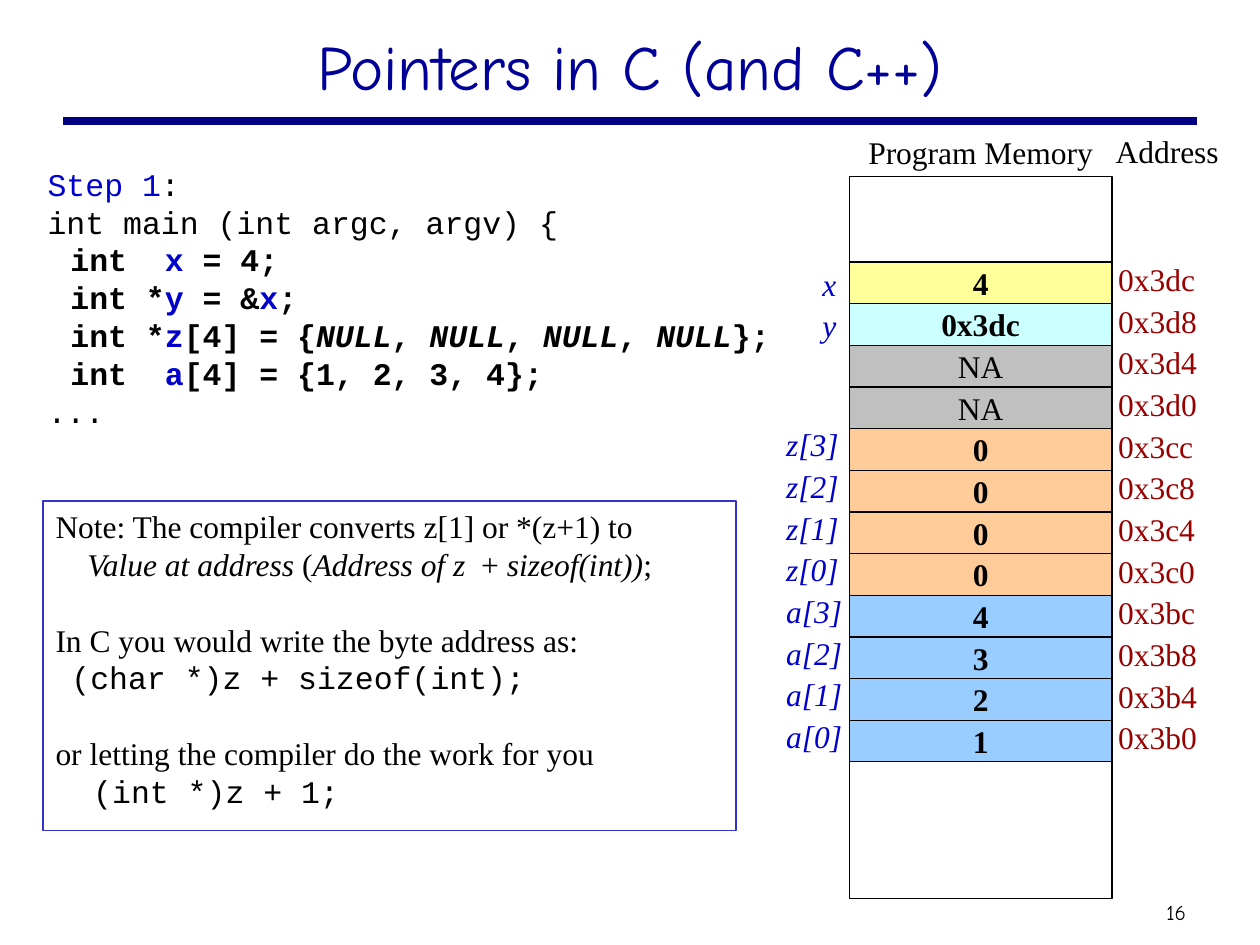
import pptx
import pptx.util
import pptx.dml.color
import pptx.enum.text
import pptx.enum.shapes
import pptx.oxml
import pptx.oxml.ns

Cm = pptx.util.Cm
Pt = pptx.util.Pt
ALIGN = pptx.enum.text.PP_ALIGN
MIDDLE = pptx.enum.text.MSO_ANCHOR.MIDDLE
SERIF, MONO, COMIC = "Times New Roman", "Courier New", "Comic Neue"
BLACK, BLUE, RED = "000000", "0000CC", "990000"
TOP, STEP = 5.28, 0.84


def color(code):
    """Turn a hex string into a colour."""
    return pptx.dml.color.RGBColor.from_string(code)


class Deck:
    """Hold the style and the current slide."""

    def __init__(self):
        """Start a deck with one titled slide."""
        self.deck = pptx.Presentation()
        self.deck.slide_width, self.deck.slide_height = Cm(25.4), Cm(19.05)
        self.slide = self.deck.slides.add_slide(self.deck.slide_layouts[5])
        self.size = 18

    def style(self, run, font=SERIF, ink=BLACK, bold=False, slant=False, size=None):
        """Format one run."""
        run.font.name, run.font.size = font, Pt(size or self.size)
        run.font.bold, run.font.italic = bold, slant
        run.font.color.rgb = color(ink)

    def title(self, text, box):
        """Fill and place the title."""
        shape = self.slide.shapes.title
        shape.left, shape.top, shape.width, shape.height = map(Cm, box)
        frame = shape.text_frame
        frame.text, frame.vertical_anchor = text, MIDDLE
        frame.paragraphs[0].alignment = ALIGN.CENTER
        self.style(frame.paragraphs[0].runs[0], COMIC, "000099", size=36)

    def rule(self, start, end, ink, width):
        """Draw a straight line."""
        kind = pptx.enum.shapes.MSO_CONNECTOR.STRAIGHT
        line = self.slide.shapes.add_connector(kind, *map(Cm, start + end))
        line.line.color.rgb, line.line.width = color(ink), Pt(width)
        part = line._element.spPr
        part.append(pptx.oxml.parse_xml(
            "<a:effectLst %s/>" % pptx.oxml.ns.nsdecls("a")))

    def rect(self, box, fill=None, ink=BLACK):
        """Draw a rectangle."""
        kind = pptx.enum.shapes.MSO_SHAPE.RECTANGLE
        shape = self.slide.shapes.add_shape(kind, *map(Cm, box))
        shape.shadow.inherit = False
        if fill:
            shape.fill.solid()
            shape.fill.fore_color.rgb = color(fill)
        else:
            shape.fill.background()
        shape.line.color.rgb, shape.line.width = color(ink), Pt(0.75)
        return shape

    def cell(self, box, text, fill, bold):
        """Draw a memory cell with its value."""
        frame = self.rect(box, fill).text_frame
        frame.text, frame.word_wrap = text, False
        frame.vertical_anchor = MIDDLE
        para = frame.paragraphs[0]
        para.alignment, para.line_spacing = ALIGN.CENTER, Pt(21.6)
        self.style(para.runs[0], bold=bold)

    def label(self, box, text, align=ALIGN.LEFT, **look):
        """Write one line of text."""
        frame = self.slide.shapes.add_textbox(*map(Cm, box)).text_frame
        frame.text, frame.word_wrap = text, True
        para = frame.paragraphs[0]
        para.alignment = align
        if "size" not in look:
            para.line_spacing = Pt(21.6)
        self.style(para.runs[0], **look)

    def lines(self, frame, rows):
        """Write rows of (indent, space before, runs); marks are m, b, i, h."""
        frame.vertical_anchor = pptx.enum.text.MSO_ANCHOR.TOP
        frame.word_wrap = True
        for num, (indent, space, runs) in enumerate(rows):
            para = frame.add_paragraph() if num else frame.paragraphs[0]
            para.alignment = ALIGN.LEFT
            para.line_spacing, para.space_before = Pt(21.6), Pt(space)
            para._p.get_or_add_pPr().set("marL", str(Cm(indent)))
            for text, marks in runs:
                run = para.add_run()
                run.text = text
                self.style(run, MONO if "m" in marks else SERIF,
                           BLUE if "h" in marks else BLACK,
                           "b" in marks, "i" in marks)


def main():
    """Build the slide."""
    deck = Deck()
    deck.rule((1.27, 2.44), (24.13, 2.44), "000080", 4.5)
    deck.title("Pointers in C (and C++)", (1.9, 0.22, 21.6, 2.18))
    deck.label((23.11, 18.01, 1.2, 0.76), "16", ALIGN.CENTER, font=COMIC, size=12)
    deck.rect((17.12, 3.56, 5.3, 14.55))
    deck.label((17.02, 2.55, 5.5, 1.02), "Program Memory", ALIGN.CENTER)
    deck.label((22.24, 2.54, 2.8, 1.02), "Address")

    note = deck.rect((0.87, 10.1, 13.97, 6.65), ink="3333CC").text_frame
    deck.lines(note, [
        (0, 0, [("Note: The compiler converts z[1] or *(z+1) to", "")]),
        (0.64, 0, [("Value at address", "i"), (" (", ""), ("Address of z", "i"),
                   ("  + ", ""), ("sizeof(int))", "i"), (";", "")]),
        (0, 21.6, [("In C you would write the byte address as:", "")]),
        (0.32, 0, [("(char *)z + sizeof(int);", "m")]),
        (0, 21.6, [("or letting the compiler do the work for you", "")]),
        (0.76, 0, [("(int *)z + 1;", "m")]),
    ])

    nulls = [("NULL", "mbi"), (", ", "mb")] * 3 + [("NULL", "mbi")]
    code = deck.slide.shapes.add_textbox(*map(Cm, (0.71, 3.2, 15.3, 5.59)))
    deck.lines(code.text_frame, [
        (0, 0, [("Step 1", "mh"), (":", "m")]),
        (0, 0, [("int main (int argc, argv) {", "m")]),
        (0.46, 0, [("int  ", "mb"), ("x", "mbh"), (" = 4;", "mb")]),
        (0.46, 0, [("int *", "mb"), ("y", "mbh"), (" = &", "mb"),
                   ("x", "mbh"), (";", "mb")]),
        (0.46, 0, [("int *", "mb"), ("z", "mbh"), ("[4] = {", "mb"), *nulls,
                   ("};", "mb")]),
        (0.46, 0, [("int  ", "mb"), ("a", "mbh"), ("[4] = {1, 2, 3, 4};", "mb")]),
        (0, 0, [("...", "m")]),
    ])

    cells = [("x", "4", "FFFF99"), ("y", "0x3dc", "CCFFFF")]
    cells += [("", "NA", "C0C0C0")] * 2
    cells += [(f"z[{num}]", "0", "FFCC99") for num in (3, 2, 1, 0)]
    cells += [(f"a[{num}]", str(num + 1), "99CCFF") for num in (3, 2, 1, 0)]
    for row, (name, value, fill) in enumerate(cells):
        top = TOP + row * STEP
        deck.cell((17.12, top, 5.3, STEP), value, fill, value != "NA")
        deck.label((22.29, top - 0.16, 2.4, 1.02), f"0x{0x3dc - 4 * row:x}", ink=RED)
        if len(name) == 1:
            deck.label((16.33, top - 0.07, 0.9, 1.02), name, ink=BLUE, slant=True)
        elif name:
            deck.label((15.6, top - 0.19, 1.8, 1.02), name, ink=BLUE, slant=True)
    deck.deck.save("out.pptx")


if __name__ == "__main__":
    main()
